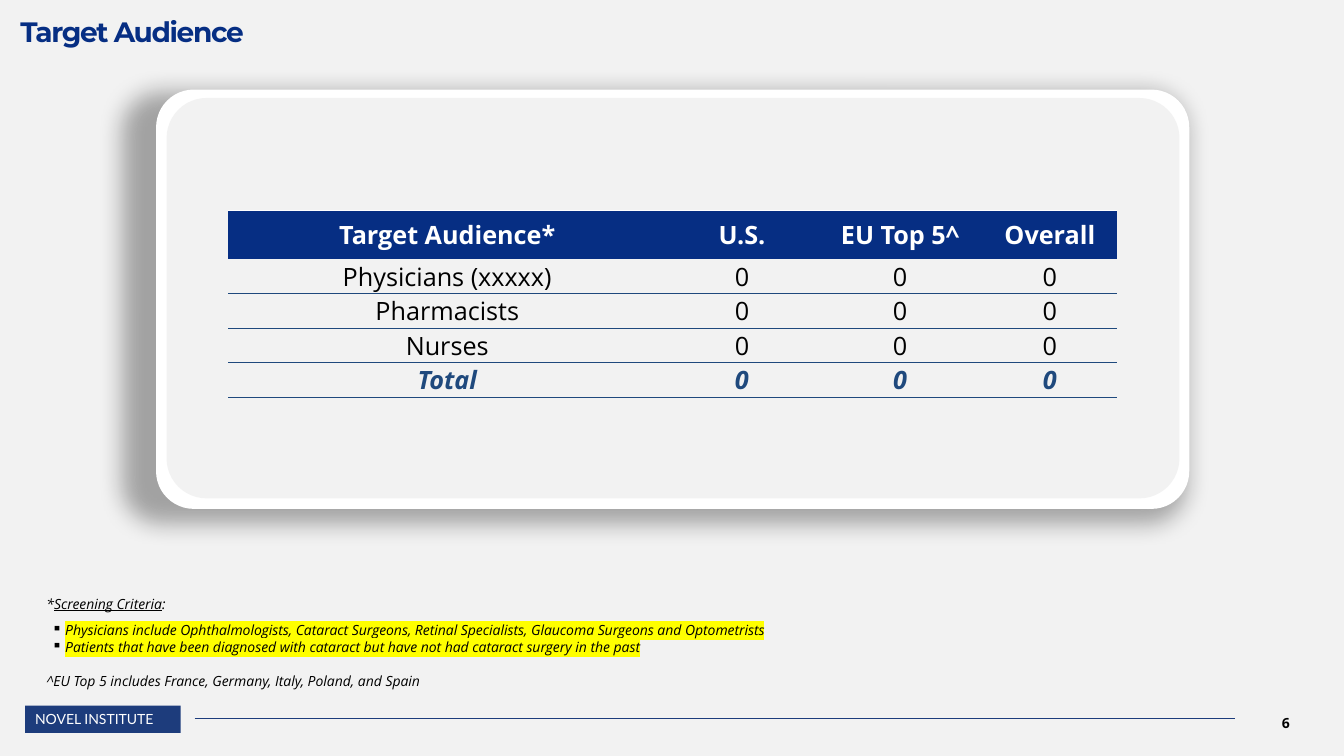
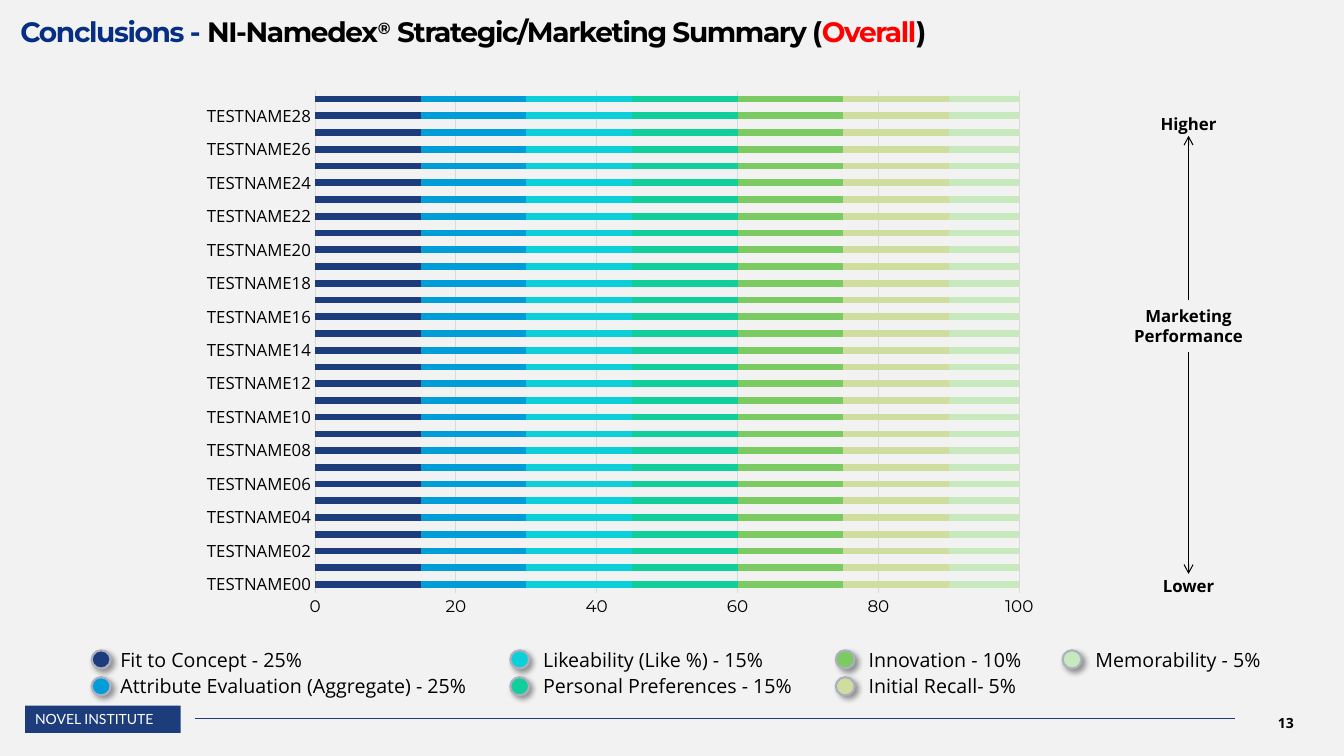
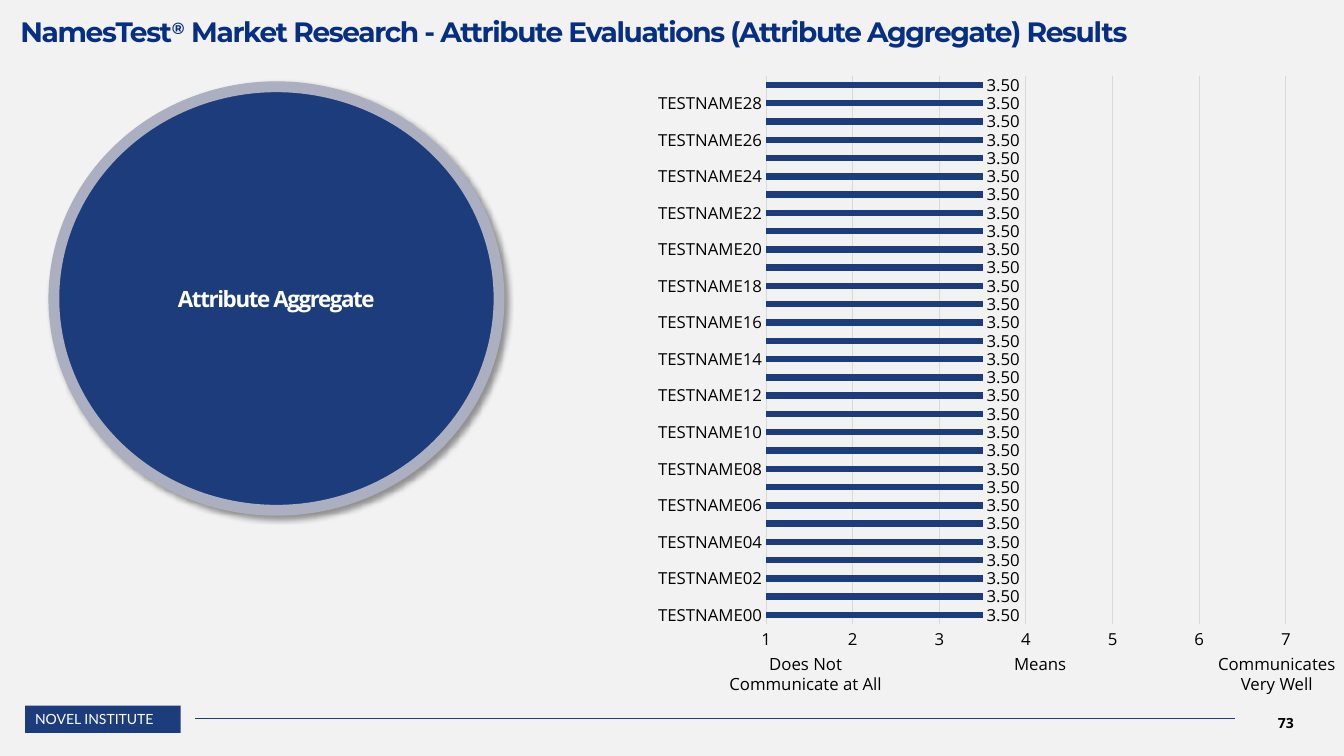
from lxml.etree import SubElement
from pptx import Presentation
from pptx.chart.data import CategoryChartData
from pptx.dml.color import RGBColor
from pptx.enum.chart import XL_CHART_TYPE, XL_LABEL_POSITION, XL_TICK_MARK
from pptx.enum.shapes import MSO_CONNECTOR, MSO_SHAPE
from pptx.enum.text import MSO_ANCHOR, PP_ALIGN
from pptx.oxml.ns import qn
from pptx.util import Pt

COLORS = {
    "page": "F2F2F2", "navy": "062E83", "blue": "1D3C7C", "total": "1F497D",
    "black": "000000", "white": "FFFFFF", "red": "FF0000", "yellow": "FFFF00",
    "rim": "ABAFBF", "grid": "D9D9D9", "sky": "009DD9", "cyan": "0BD0D9",
    "teal": "10CF9B", "green": "7CCA62", "olive": "CFDE9E", "mint": "C8E8BE",
}
BODY_FONT, TITLE_FONT, FOOTER_FONT = "Open Sans", "Montserrat", "Lato"
TEST_NAMES = [f"TESTNAME{i:02d}" for i in range(30)]
NO_STYLE = "{2D5ABB26-0587-4C30-8999-92F81FD0307C}"
DOT_SHADOW = dict(alpha=40, blur=4, dist=3, angle=45)
CARD_SHADOW = dict(alpha=33, blur=17.2, dist=3, angle=135, algn="tr", scale=103)


def rgb(name):
    return RGBColor.from_string(COLORS[name])


def box_of(box):
    return [Pt(v) for v in box]


def style_font(font, size=12, color="black", name=BODY_FONT, bold=False, italic=False):
    font.size, font.name, font.bold, font.italic = Pt(size), name, bold, italic
    font.color.rgb = rgb(color)


def write(p, text, spacing=None, raised=False, underline=False, highlight=None, **fmt):
    r = p.add_run()
    r.text = text
    style_font(r.font, **fmt)
    rPr = r.font._element
    if underline:
        r.font.underline = True
    if spacing:
        rPr.set("spc", str(spacing * 100))
    if raised:
        rPr.set("baseline", "30000")
    if highlight:
        mark = SubElement(rPr, qn("a:highlight"))
        SubElement(mark, qn("a:srgbClr"), val=COLORS[highlight])
        rPr.find(qn("a:latin")).addprevious(mark)


def set_frame(tf, anchor=MSO_ANCHOR.MIDDLE, inset=(0, 0, 0, 0), wrap=True):
    tf.word_wrap, tf.vertical_anchor = wrap, anchor
    (tf.margin_left, tf.margin_top,
     tf.margin_right, tf.margin_bottom) = box_of(inset)


def add_text(s, box, lines, align=PP_ALIGN.CENTER, anchor=MSO_ANCHOR.MIDDLE, **fmt):
    sp = s.shapes.add_textbox(*box_of(box))
    tf = sp.text_frame
    set_frame(tf, anchor)
    for i, line in enumerate(lines):
        p = tf.add_paragraph() if i else tf.paragraphs[0]
        p.alignment = align
        write(p, line, **fmt)
    return sp


def set_shadow(sp, alpha, blur, dist, angle, algn="tl", scale=100):
    effects = sp._element.spPr.find(qn("a:effectLst"))
    outer = SubElement(
        effects, qn("a:outerShdw"), blurRad=str(Pt(blur)), dist=str(Pt(dist)),
        dir=str(angle * 60000), sx=str(scale * 1000), sy=str(scale * 1000),
        algn=algn, rotWithShape="0")
    color = SubElement(outer, qn("a:srgbClr"), val=COLORS["black"])
    SubElement(color, qn("a:alpha"), val=str(alpha * 1000))


def add_shape(s, kind, box, fill, line=None, width=1.5, shadow=None, adj=None):
    sp = s.shapes.add_shape(kind, *box_of(box))
    sp.fill.solid()
    sp.fill.fore_color.rgb = rgb(fill)
    if line:
        sp.line.color.rgb = rgb(line)
        sp.line.width = Pt(width)
    else:
        sp.line.fill.background()
    sp.shadow.inherit = False
    if shadow:
        set_shadow(sp, **shadow)
    if adj:
        sp.adjustments[0] = adj
    return sp


def add_line(s, start, end, color, width, arrow=False):
    line = s.shapes.add_connector(MSO_CONNECTOR.STRAIGHT, *box_of(start + end))
    line.line.color.rgb = rgb(color)
    line.line.width = Pt(width)
    if arrow:
        SubElement(line.line._get_or_add_ln(), qn("a:tailEnd"), type="arrow")
    SubElement(line._element.spPr, qn("a:effectLst"))
    return line


def add_arrow(s, source, source_side, target, target_side):
    arrow = add_line(s, (0, 0), (0, 0), "black", 0.75, arrow=True)
    arrow.begin_connect(source, source_side)
    arrow.end_connect(target, target_side)


def new_slide(prs, number, title_runs):
    s = prs.slides.add_slide(prs.slide_layouts[5])
    title = s.shapes.title
    title.left, title.top, title.width, title.height = box_of((14.5, 0, 923, 34.5))
    set_frame(title.text_frame, MSO_ANCHOR.TOP, (0, 15, 0, 0))
    p = title.text_frame.paragraphs[0]
    p.alignment, p.line_spacing = PP_ALIGN.LEFT, 0.8
    for text, fmt in title_runs:
        write(p, text, **{**dict(size=20, color="navy", name=TITLE_FONT,
                                 bold=True, spacing=-1), **fmt})
    add_text(s, (879, 502, 79, 29), [str(number)], size=10, bold=True)
    badge = add_shape(s, MSO_SHAPE.RECTANGLE, (18, 504, 111, 19.5), "blue")
    set_frame(badge.text_frame, inset=(7.2, 0, 0, 0), wrap=False)
    p = badge.text_frame.paragraphs[0]
    p.alignment = PP_ALIGN.LEFT
    write(p, "NOVEL INSTITUTE", size=10, color="white", name=FOOTER_FONT)
    add_line(s, (139, 513), (882.5, 513), "blue", 0.5)
    return s


def add_border(cell, side, color):
    ln = SubElement(cell._tc.get_or_add_tcPr(), qn(f"a:{side}"), w=str(Pt(0.5)))
    SubElement(SubElement(ln, qn("a:solidFill")), qn("a:srgbClr"), val=COLORS[color])


def add_audience_table(s, rows):
    widths, heights = (313, 108, 118, 96), (34.5,) + (24.7,) * 4
    frame = s.shapes.add_table(len(rows), len(widths),
                               *box_of((163, 150.5, sum(widths), sum(heights))))
    table = frame.table
    table._tbl.tblPr.find(qn("a:tableStyleId")).text = NO_STYLE
    table.horz_banding = False
    for column, width in zip(table.columns, widths):
        column.width = Pt(width)
    for row, height in zip(table.rows, heights):
        row.height = Pt(height)
    formats = ([dict(color="white", bold=True)] + [{}] * 3
               + [dict(color="total", bold=True, italic=True)])
    for i, (values, fmt) in enumerate(zip(rows, formats)):
        for j, value in enumerate(values):
            cell = table.cell(i, j)
            if i:
                add_border(cell, "lnB", "total")
            else:
                add_border(cell, "lnT", "white")
            cell.fill.solid()
            cell.fill.fore_color.rgb = rgb("page" if i else "navy")
            (cell.margin_left, cell.margin_top,
             cell.margin_right, cell.margin_bottom) = [0] * 4
            cell.vertical_anchor = MSO_ANCHOR.MIDDLE
            p = cell.text_frame.paragraphs[0]
            p.alignment = PP_ALIGN.CENTER
            write(p, value, size=18, **fmt)


def add_criteria(s):
    sp = s.shapes.add_textbox(*box_of((26, 421, 903.5, 75)))
    tf = sp.text_frame
    set_frame(tf, inset=(7.2, 3.6, 7.2, 3.6))
    small = dict(size=10, italic=True)
    bullet = dict(highlight="yellow")
    paragraphs = [
        (0, [("*", {}), ("Screening Criteria", dict(underline=True)), (":", {})]),
        (7, [("Physicians include Ophthalmologists, Cataract Surgeons, Retinal "
              "Specialists, Glaucoma Surgeons and Optometrists", bullet)]),
        (0, [("Patients that have been diagnosed with cataract but have not had "
              "cataract surgery in the past", bullet)]),
        (11.5, [("^EU Top 5 includes France, Germany, Italy, Poland, and Spain", {})]),
    ]
    for i, (gap, runs) in enumerate(paragraphs):
        p = tf.add_paragraph() if i else tf.paragraphs[0]
        if runs[0][1] is bullet:
            pPr = p._p.get_or_add_pPr()
            pPr.set("marL", str(Pt(13.5)))
            pPr.set("indent", str(Pt(-9.5)))
            SubElement(pPr, qn("a:buChar"), char="▪")
        p.line_spacing = Pt(12.2)
        if gap:
            p.space_before = Pt(gap)
        for text, fmt in runs:
            write(p, text, **small, **fmt)


def set_plot_area(chart, **layout):
    area = chart._chartSpace.chart.plotArea
    for old in area.findall(qn("c:layout")):
        area.remove(old)
    node = SubElement(area, qn("c:layout"))
    area.insert(0, node)
    manual = SubElement(node, qn("c:manualLayout"))
    settings = dict(layoutTarget="inner", xMode="edge", yMode="edge", **layout)
    for tag, value in settings.items():
        SubElement(manual, qn(f"c:{tag}"), val=str(value))


def add_bars(s, kind, box, values, colors, gap, low, high, step, value_font):
    data = CategoryChartData()
    data.categories = TEST_NAMES
    for i, value in enumerate(values, 1):
        data.add_series(f"Series {i}", [value] * len(TEST_NAMES))
    chart = s.shapes.add_chart(kind, *box_of(box), data).chart
    chart.has_legend = chart.has_title = False
    style_font(chart.font, name=value_font)
    plot = chart.plots[0]
    plot.gap_width, plot.vary_by_categories = gap, False
    for series, color in zip(plot.series, colors):
        series.format.fill.solid()
        series.format.fill.fore_color.rgb = rgb(color)
    names, scale = chart.category_axis, chart.value_axis
    for axis, font in ((names, BODY_FONT), (scale, value_font)):
        axis.major_tick_mark = axis.minor_tick_mark = XL_TICK_MARK.NONE
        style_font(axis.tick_labels.font, name=font)
    scale.minimum_scale, scale.maximum_scale, scale.major_unit = low, high, step
    scale.tick_labels.number_format = "0"
    scale.tick_labels.number_format_is_linked = False
    scale.format.line.fill.background()
    scale.has_major_gridlines = True
    for line in (names.format.line, scale.major_gridlines.format.line):
        line.color.rgb = rgb("grid")
        line.width = Pt(0.75)
    return chart


def add_legend(s, columns):
    for dot_x, text_x, width, entries in columns:
        for row, (label, color) in enumerate(entries):
            y = 462.5 + 19.2 * row
            add_shape(s, MSO_SHAPE.OVAL, (dot_x, y + 2, 13.5, 13), color,
                      line="rim", shadow=DOT_SHADOW)
            add_text(s, (text_x, y, width, 19), [label],
                     align=PP_ALIGN.LEFT, anchor=MSO_ANCHOR.TOP, size=14)


def audience_slide(prs):
    s = new_slide(prs, 6, [("Target Audience", {})])
    card = MSO_SHAPE.ROUNDED_RECTANGLE
    add_shape(s, card, (111.5, 64, 738, 299.5), "white", shadow=CARD_SHADOW, adj=0.09)
    add_shape(s, card, (119, 70, 723.5, 286), "page", adj=0.1)
    add_audience_table(s, [
        ("Target Audience*", "U.S.", "EU Top 5^", "Overall"),
        *[(name, "0", "0", "0")
          for name in ("Physicians (xxxxx)", "Pharmacists", "Nurses", "Total")],
    ])
    add_criteria(s)


def summary_slide(prs):
    black = dict(color="black")
    s = new_slide(prs, 13, [
        ("Conclusions - ", {}), ("NI-Namedex", black),
        ("®", dict(color="black", raised=True)),
        (" Strategic/Marketing Summary (", black),
        ("Overall", dict(color="red")), (")", black)])
    higher, performance, lower = [
        add_text(s, (798, y, 102, h), lines, bold=True)
        for y, h, lines in ((80.5, 16.5, ["Higher"]),
                            (214.5, 37, ["Marketing", "Performance"]),
                            (410, 16.5, ["Lower"]))]
    add_arrow(s, performance, 0, higher, 2)
    add_arrow(s, performance, 2, lower, 0)
    add_legend(s, [
        (65.5, 86, 260, [("Fit to Concept - 25%", "blue"),
                         ("Attribute Evaluation (Aggregate) - 25%", "sky")]),
        (364.5, 388, 200, [("Likeability (Like %) - 15%", "cyan"),
                           ("Personal Preferences - 15%", "teal")]),
        (597, 620.5, 130, [("Innovation - 10%", "green"),
                           ("Initial Recall- 5%", "olive")]),
        (759, 782.5, 150, [("Memorability - 5%", "mint")]),
    ])
    chart = add_bars(s, XL_CHART_TYPE.BAR_STACKED, (135.5, 57, 615, 391.5),
                     [15] * 6 + [10],
                     ["blue", "sky", "cyan", "teal", "green", "olive", "mint"],
                     150, 0, 100, 20, TITLE_FONT)
    chart.plots[0].overlap = 100


def attribute_slide(prs):
    s = new_slide(prs, 73, [
        ("NamesTest", {}), ("®", dict(raised=True)),
        (" Market Research - Attribute Evaluations (Attribute Aggregate) Results", {})])
    disc = add_shape(s, MSO_SHAPE.OVAL, (38.5, 62, 318, 302.5), "blue",
                     line="rim", width=7.75, shadow=DOT_SHADOW)
    set_frame(disc.text_frame)
    p = disc.text_frame.paragraphs[0]
    p.alignment = PP_ALIGN.CENTER
    write(p, "Attribute Aggregate", size=16, color="white", bold=True, spacing=-1)
    chart = add_bars(s, XL_CHART_TYPE.BAR_CLUSTERED, (470, 52.5, 453, 412.5),
                     [3.5], ["blue"], 182, 1, 7, 1, BODY_FONT)
    set_plot_area(chart, x=0.17, y=0, w=0.82, h=0.96)
    plot = chart.plots[0]
    plot.has_data_labels = True
    labels = plot.data_labels
    labels.show_value, labels.position = True, XL_LABEL_POSITION.OUTSIDE_END
    labels.number_format, labels.number_format_is_linked = "0.00", False
    style_font(labels.font)
    for center, width, lines in ((575.5, 125, ["Does Not", "Communicate at All"]),
                                 (743, 60, ["Means"]),
                                 (912, 92, ["Communicates", "Very Well"])):
        add_text(s, (center - width / 2, 467, width, 16.5 * len(lines)), lines,
                 anchor=MSO_ANCHOR.TOP)


def main():
    prs = Presentation()
    prs.slide_width, prs.slide_height = Pt(960), Pt(540)
    background = prs.slide_master.background.fill
    background.solid()
    background.fore_color.rgb = rgb("page")
    audience_slide(prs)
    summary_slide(prs)
    attribute_slide(prs)
    prs.save("out.pptx")


if __name__ == "__main__":
    main()
